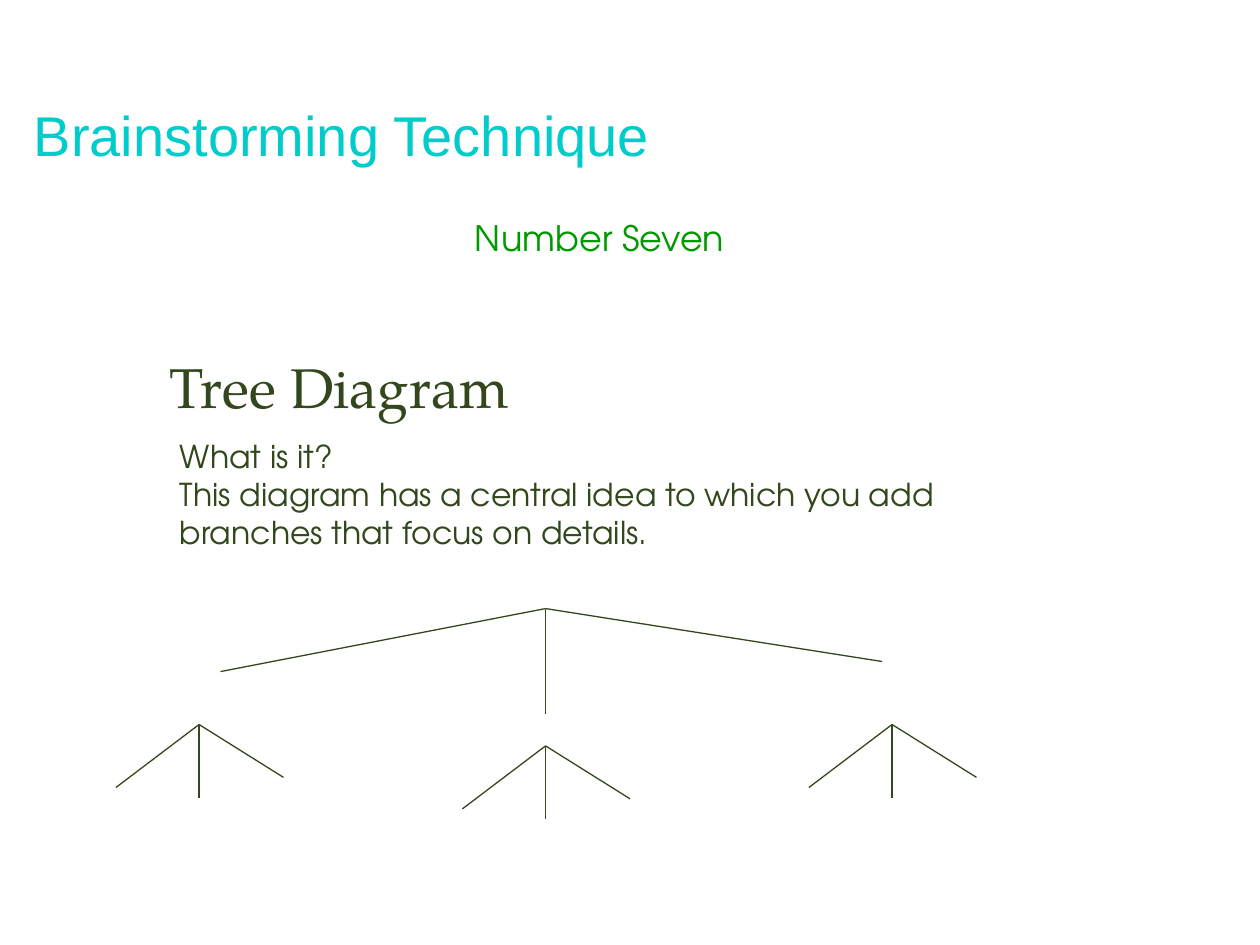
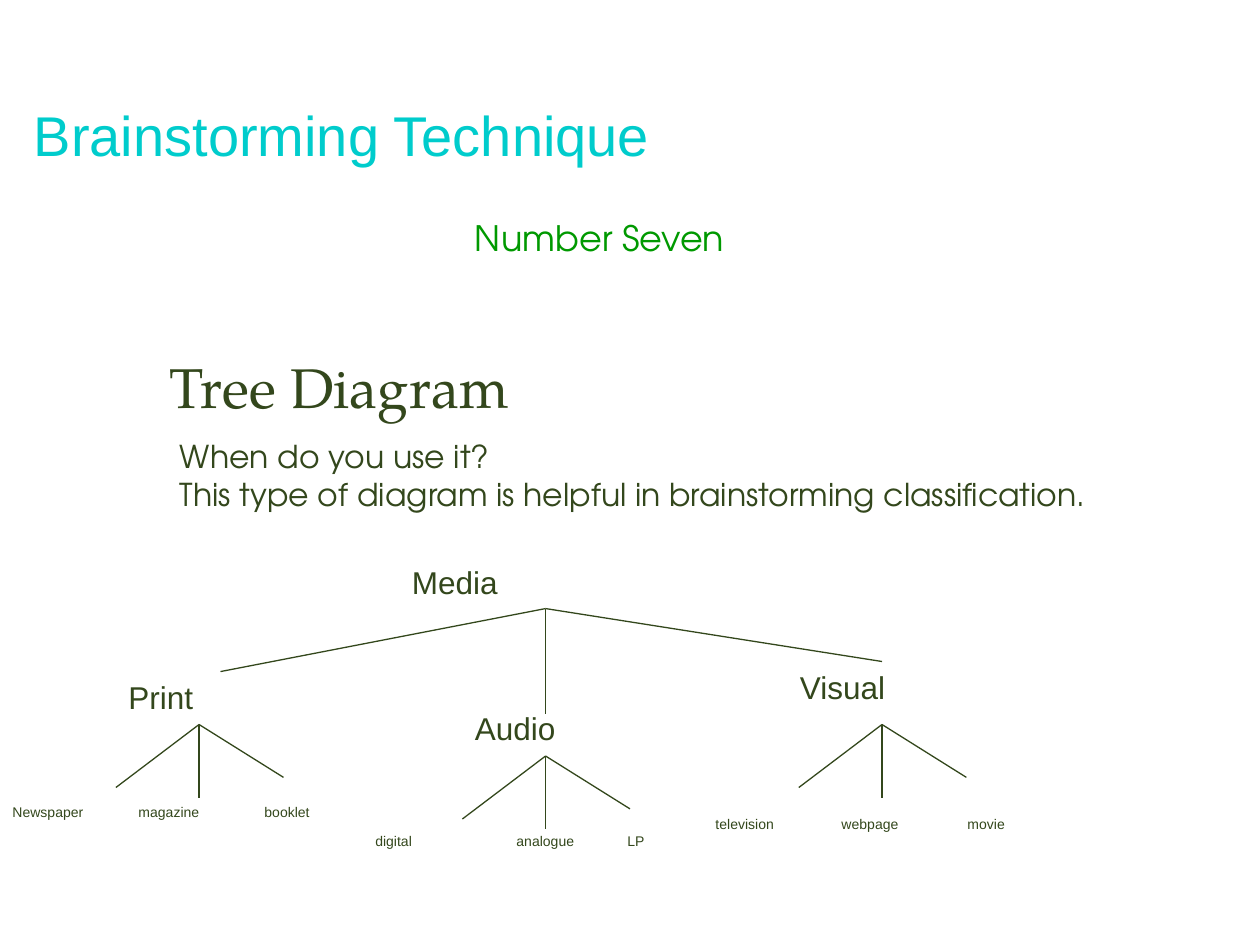
import dataclasses

import lxml.etree
import pptx
import pptx.dml.color
import pptx.enum.shapes
import pptx.enum.text
import pptx.oxml.ns
import pptx.util

Inches = pptx.util.Inches
qn = pptx.oxml.ns.qn


@dataclasses.dataclass(frozen=True)
class Theme:
    cyan: str = "00CCCC"
    green: str = "009900"
    olive: str = "33471C"
    sans: str = "Arial"
    rounded: str = "TeX Gyre Adventor"
    serif: str = "TeX Gyre Pagella"
    heading: int = 32
    subtitle: int = 20
    body: int = 18
    leaf: int = 8
    branch_width: float = 0.75


theme = Theme()


def add_text(slide, box, text, font, size, color, tabs=()):
    frame = slide.shapes.add_textbox(*map(Inches, box)).text_frame
    frame.word_wrap = True
    frame.auto_size = pptx.enum.text.MSO_AUTO_SIZE.SHAPE_TO_FIT_TEXT
    frame.text = text
    for paragraph in frame.paragraphs:
        if tabs:
            properties = paragraph._p.get_or_add_pPr()
            stops = lxml.etree.SubElement(properties, qn("a:tabLst"))
            for tab in tabs:
                lxml.etree.SubElement(stops, qn("a:tab"), pos=str(Inches(tab)), algn="l")
        for run in paragraph.runs:
            run.font.name = font
            run.font.size = pptx.util.Pt(size)
            run.font.color.rgb = pptx.dml.color.RGBColor.from_string(color)


def add_branches(slide, x, y, offsets):
    branches = slide.shapes.add_group_shape()
    for dx, dy in offsets:
        branch = branches.shapes.add_connector(
            pptx.enum.shapes.MSO_CONNECTOR.STRAIGHT,
            Inches(x), Inches(y), Inches(x + dx), Inches(y + dy))
        branch.line.color.rgb = pptx.dml.color.RGBColor.from_string(theme.olive)
        branch.line.width = pptx.util.Pt(theme.branch_width)
        lxml.etree.SubElement(branch._element.spPr, qn("a:effectLst"))


root = (4.33, 4.83)
root_offsets = [(-2.58, 0.5), (0, 0.84), (2.67, 0.42)]
twig_offsets = [(-0.66, 0.5), (0, 0.58), (0.67, 0.42)]

pages = [
    {
        "body_size": (7, 1.15),
        "body": "What is it?\nThis diagram has a central idea to which you add "
                "branches that focus on details.",
        "twigs": [(1.58, 5.75), (7.08, 5.75), (4.33, 5.92)],
        "topics": [],
        "leaves": [],
    },
    {
        "body_size": (7.5, 0.71),
        "body": "When do you use it?\n"
                "This type of diagram is helpful in brainstorming classification.",
        "twigs": [(1.58, 5.75), (4.33, 6), (7, 5.75)],
        "topics": [
            ("Media", 3.17, 4.42, 2.42),
            ("Print", 0.92, 5.33, 1.42),
            ("Visual", 6.25, 5.25, 1.42),
            ("Audio", 3.67, 5.58, 1.42),
        ],
        "leaves": [
            ("Newspaper\tmagazine\tbooklet", 0, 6.33, (1, 2)),
            ("television\twebpage\tmovie", 5.58, 6.42, (1, 2)),
            ("digital\tanalogue\tLP", 2.88, 6.56, (1.12, 2)),
        ],
    },
]

deck = pptx.Presentation()
deck.slide_width = Inches(10)
deck.slide_height = Inches(7.5)

for page in pages:
    slide = deck.slides.add_slide(deck.slide_layouts[6])
    add_text(slide, (3.67, 1.67, 3.5, 0.43), "Number Seven",
             theme.rounded, theme.subtitle, theme.green)
    add_text(slide, (1.25, 2.75, 4.25, 0.63), "Tree Diagram",
             theme.serif, theme.heading, theme.olive)
    add_text(slide, (1.33, 3.42, *page["body_size"]), page["body"],
             theme.rounded, theme.body, theme.olive)
    add_branches(slide, *root, root_offsets)
    for x, y in page["twigs"]:
        add_branches(slide, x, y, twig_offsets)
    for topic, x, y, width in page["topics"]:
        add_text(slide, (x, y, width, 0.4), topic, theme.sans, theme.body, theme.olive)
    for leaves, x, y, tabs in page["leaves"]:
        add_text(slide, (x, y, 3.08, 0.23), leaves,
                 theme.sans, theme.leaf, theme.olive, tabs)
    add_text(slide, (0.17, 0.75, 7.42, 0.64), "Brainstorming Technique",
             theme.sans, theme.heading, theme.cyan)

deck.save("out.pptx")
